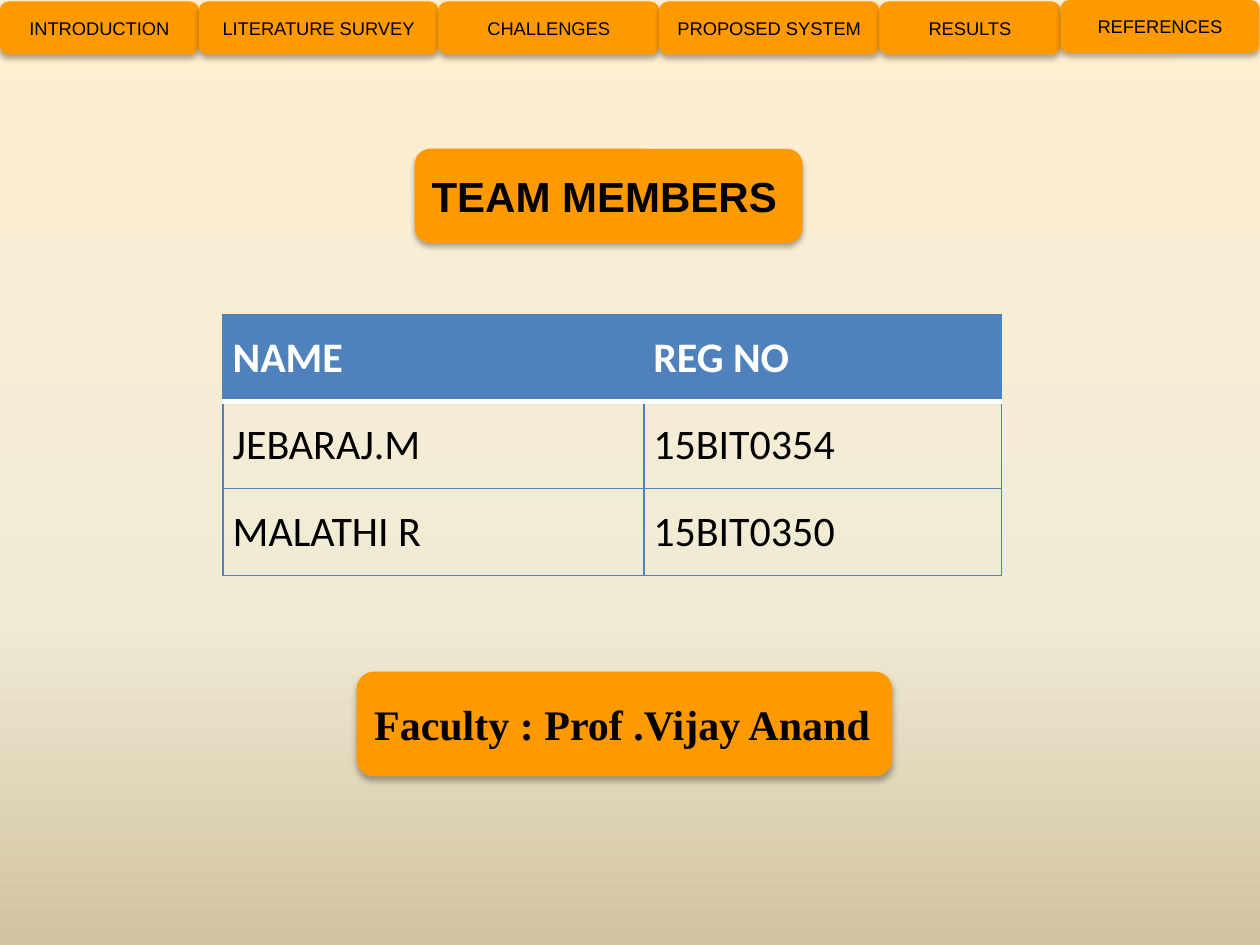
from lxml import etree
from pptx import Presentation
from pptx.dml.color import RGBColor
from pptx.enum.shapes import MSO_SHAPE
from pptx.enum.text import MSO_ANCHOR, PP_ALIGN
from pptx.oxml import parse_xml
from pptx.oxml.ns import qn
from pptx.util import Cm, Pt

ROUNDED = MSO_SHAPE.ROUNDED_RECTANGLE
MIDDLE = MSO_ANCHOR.MIDDLE
LEFT, CENTER = PP_ALIGN.LEFT, PP_ALIGN.CENTER
NS = 'xmlns:a="http://schemas.openxmlformats.org/drawingml/2006/main"'

THEME = {
    "orange": "FF9900", "blue": "4F81BD", "black": "000000", "white": "FFFFFF",
    "background": [(0, "FFEFD1"), (65, "F0EBD5"), (100, "D1C39F")],
    "sans": "Arial", "serif": "Times New Roman", "table": "Calibri",
    "tab_size": 10.5, "text_size": 24,
}

TABS = [
    ("INTRODUCTION", 4.01, 0.03),
    ("LITERATURE SURVEY", 4.83, 0.03),
    ("CHALLENGES", 4.45, 0.03),
    ("PROPOSED SYSTEM", 4.44, 0.03),
    ("RESULTS", 3.65, 0.03),
    ("REFERENCES", 4.01, 0),
]
TAB_HEIGHT = 1.07
TITLE = "TEAM MEMBERS"
TITLE_BOX = (8.36, 3, 7.82, 1.9)
FACULTY = "Faculty : Prof .Vijay Anand"
FACULTY_BOX = (7.19, 13.54, 10.8, 2.11)
MEMBERS = [
    ("NAME", "REG NO"),
    ("JEBARAJ.M", "15BIT0354"),
    ("MALATHI R", "15BIT0350"),
]
TABLE_AT = (4.5, 6.35)
COL_WIDTHS = (8.48, 7.21)
ROW_HEIGHT = 1.75


def rgb(name):
    return RGBColor.from_string(THEME[name])


def write(tf, text, font, size, color="black", bold=False, align=LEFT):
    tf.text = text
    p = tf.paragraphs[0]
    p.alignment = align
    r = p.runs[0]
    r.font.name = THEME[font]
    r.font.size = Pt(THEME[size])
    r.font.bold = bold
    r.font.color.rgb = rgb(color)


def add_panel(s, box):
    sp = s.shapes.add_shape(ROUNDED, *map(Cm, box))
    sp.fill.solid()
    sp.fill.fore_color.rgb = rgb("orange")
    sp.line.fill.background()
    sp.shadow.inherit = False
    sp._element.spPr.find(qn("a:effectLst")).append(parse_xml(
        f'<a:outerShdw {NS} blurRad="{Pt(3.5)}" dist="{Pt(2.2)}" dir="5400000" '
        f'rotWithShape="0"><a:srgbClr val="{THEME["black"]}">'
        '<a:alpha val="32000"/></a:srgbClr></a:outerShdw>'))
    sp.text_frame.word_wrap = True
    sp.text_frame.vertical_anchor = MIDDLE
    return sp


def set_background(s):
    fill = s.background.fill
    fill.gradient()
    fill.gradient_angle = 270
    stops = next(s._element.iter(qn("a:gsLst")))
    for stop in list(stops):
        stops.remove(stop)
    for position, color in THEME["background"]:
        stop = etree.SubElement(stops, qn("a:gs"), pos=str(position * 1000))
        etree.SubElement(stop, qn("a:srgbClr"), val=color)


def set_borders(cell, borders):
    tcPr = cell._tc.get_or_add_tcPr()
    for i, (side, (color, width)) in enumerate(borders.items()):
        tcPr.insert(i, parse_xml(
            f'<a:ln{side} {NS} w="{Pt(width)}"><a:solidFill>'
            f'<a:srgbClr val="{THEME[color]}"/></a:solidFill></a:ln{side}>'))


def add_members(s):
    last = len(MEMBERS) - 1
    size = (sum(COL_WIDTHS), ROW_HEIGHT * len(MEMBERS))
    table = s.shapes.add_table(len(MEMBERS), len(COL_WIDTHS),
                               *map(Cm, TABLE_AT + size)).table
    table.horz_banding = False
    for column, width in zip(table.columns, COL_WIDTHS):
        column.width = Cm(width)
    thin, thick = ("blue", 1), ("white", 3)
    for i, row in enumerate(MEMBERS):
        header = i == 0
        table.rows[i].height = Cm(ROW_HEIGHT)
        for j, text in enumerate(row):
            cell = table.cell(i, j)
            cell.vertical_anchor = MIDDLE
            cell.margin_left = cell.margin_right = Cm(0.19)
            cell.margin_top = cell.margin_bottom = Cm(0.1)
            if header:
                cell.fill.solid()
                cell.fill.fore_color.rgb = rgb("blue")
            else:
                cell.fill.background()
            write(cell.text_frame, text, "table", "text_size",
                  "white" if header else "black", header)
            set_borders(cell, {
                "L": thin, "R": thin,
                "T": thick if i == 1 else thin,
                "B": thick if header and last else thin,
            })


def add_title(s):
    add_panel(s, TITLE_BOX)
    title = s.shapes.title
    s.shapes._spTree.append(title._element)
    title.left, title.top, title.width, title.height = map(Cm, TITLE_BOX)
    tf = title.text_frame
    tf.word_wrap = True
    tf.vertical_anchor = MIDDLE
    tf.margin_left = Cm(0.34)
    write(tf, TITLE, "sans", "text_size", bold=True)


def main():
    prs = Presentation()
    prs.slide_width, prs.slide_height = Cm(25.4), Cm(19.05)
    s = prs.slides.add_slide(prs.slide_layouts[5])
    set_background(s)

    left = 0
    for text, width, top in TABS:
        sp = add_panel(s, (left, top, width, TAB_HEIGHT))
        write(sp.text_frame, text, "sans", "tab_size", align=CENTER)
        left += width

    add_members(s)
    sp = add_panel(s, FACULTY_BOX)
    write(sp.text_frame, FACULTY, "serif", "text_size", bold=True)
    add_title(s)
    prs.save("out.pptx")


if __name__ == "__main__":
    main()
